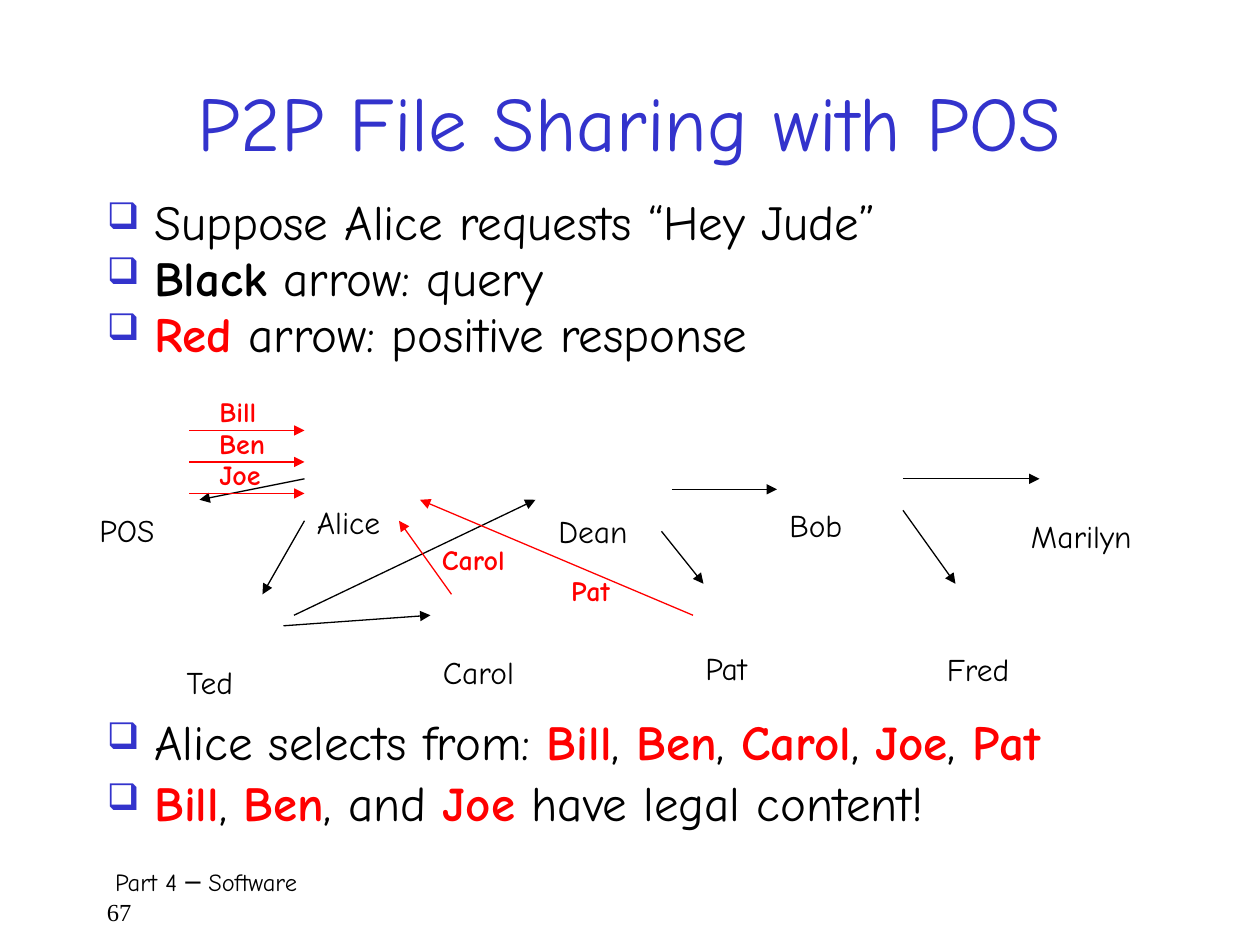
from lxml import etree
from pptx import Presentation
from pptx import util as u
from pptx.dml.color import RGBColor
from pptx.enum import shapes, text
from pptx.oxml import ns

SCALE = 7620
FONT = "Comic Neue"
BLACK, RED, BLUE = "000000", "FF0000", "3333CC"


def px(*nums):
    """Turn px lengths into EMU."""
    return [u.Emu(n * SCALE) for n in nums]


def hue(code):
    """Make a colour from a hex string."""
    return RGBColor.from_string(code)


def sub(node, tag, **attrs):
    """Add a drawing element to a node."""
    return etree.SubElement(node, ns.qn(tag), attrs)


def put(para, words, size, color=BLACK, bold=False, font=FONT):
    """Add one run of text to a paragraph."""
    run = para.add_run()
    run.text = words
    run.font.size = u.Pt(size)
    run.font.name = font
    run.font.bold = bold
    run.font.color.rgb = hue(color)


def box(slide, area, wrap=True):
    """Add an empty text box and return its frame."""
    frame = slide.shapes.add_textbox(*px(*area)).text_frame
    frame.word_wrap = wrap
    if not wrap:
        frame.auto_size = text.MSO_AUTO_SIZE.SHAPE_TO_FIT_TEXT
    return frame


def label(slide, area, words, size=18, color=BLACK, bold=False):
    """Add a short label that does not wrap."""
    para = box(slide, area, False).paragraphs[0]
    put(para, words, size, color, bold)
    return para


def mark(para):
    """Give a paragraph a hanging blue square bullet."""
    props = para._p.get_or_add_pPr()
    left = 45 * SCALE
    props.set("marL", str(left))
    props.set("indent", str(-left))
    sub(sub(props, "a:buClr"), "a:srgbClr", val=BLUE)
    sub(props, "a:buSzPct", val="75000")
    sub(props, "a:buChar", char="❑")


def bullets(slide, area, items, spacing):
    """Add a bullet list whose starred parts are bold."""
    frame = box(slide, area)
    for i, item in enumerate(items):
        para = frame.add_paragraph() if i else frame.paragraphs[0]
        mark(para)
        para.line_spacing = spacing
        if i:
            para.space_before = u.Pt(6.5)
        for j, part in enumerate(item.split("*")):
            if part:
                bold = j % 2 == 1
                color = RED if bold and part != "Black" else BLACK
                put(para, part, 28, color, bold)


def arrow(slide, ends, color):
    """Add a thin line with an arrowhead at its end."""
    line = slide.shapes.add_connector(shapes.MSO_CONNECTOR.STRAIGHT, *px(*ends))
    line.line.color.rgb = hue(color)
    line.line.width = u.Pt(0.75)
    sub(line.line._get_or_add_ln(), "a:tailEnd", type="triangle")
    sub(line._element.spPr, "a:effectLst")


def title(slide):
    """Add the slide title."""
    frame = box(slide, (90, 60, 1020, 110))
    frame.vertical_anchor = text.MSO_ANCHOR.MIDDLE
    para = frame.paragraphs[0]
    para.alignment = text.PP_ALIGN.CENTER
    put(para, "P2P File Sharing with POS", 44, BLUE)


def footer(slide):
    """Add the course part and the page number."""
    frame = box(slide, (90, 820, 1030, 60))
    put(frame.paragraphs[0], " Part 4 ─ Software", 14)
    put(frame.add_paragraph(), "67", 14, font="Times New Roman")


def peers(slide):
    """Name the peers in the network."""
    para = label(slide, (79, 488, 84, 46), "POS")
    para.alignment = text.PP_ALIGN.CENTER
    para.line_spacing = 0.8
    for name, x, y, w in (
        ("Ted", 166, 626, 78), ("Carol", 410, 616, 96), ("Pat", 660, 612, 70),
        ("Marilyn", 970, 486, 128), ("Bob", 740, 476, 77),
        ("Alice", 290, 473, 95), ("Dean", 520, 482, 94), ("Fred", 890, 613, 91),
    ):
        label(slide, (x, y, w, 54), name)


def queries(slide):
    """Draw the query arrows."""
    for ends in (
        (290, 456, 190, 476), (290, 496, 250, 566), (270, 596, 410, 586),
        (280, 586, 510, 476), (640, 466, 740, 466), (630, 506, 670, 556),
        (860, 456, 990, 456), (860, 486, 910, 556),
    ):
        arrow(slide, ends, BLACK)


def replies(slide):
    """Draw the positive responses and their names."""
    arrow(slide, (660, 586, 400, 476), RED)
    arrow(slide, (430, 566, 380, 496), RED)
    names = [("Carol", 409, 511, 90), ("Pat", 532, 540, 66)]
    for i, (name, w) in enumerate((("Bill", 64), ("Ben", 70), ("Joe", 71))):
        y = 410 + 30 * i
        arrow(slide, (180, y, 290, y), RED)
        names.append((name, 197, y - 40, w))
    for name, x, y, w in names:
        label(slide, (x, y, w, 49), name, 16, RED, True)


def main():
    """Build the slide and save it."""
    deck = Presentation()
    deck.slide_width, deck.slide_height = px(1200, 900)
    slide = deck.slides.add_slide(deck.slide_layouts[6])
    footer(slide)
    title(slide)
    bullets(slide, (90, 190, 1030, 180), (
        "Suppose Alice requests “Hey Jude”",
        "*Black* arrow: query",
        "*Red* arrow: positive response",
    ), 0.75)
    peers(slide)
    bullets(slide, (90, 680, 1050, 130), (
        "Alice selects from: *Bill*, *Ben*, *Carol*, *Joe*, *Pat*",
        "*Bill*, *Ben*, and *Joe* have legal content!",
    ), 0.85)
    queries(slide)
    replies(slide)
    deck.save("out.pptx")


if __name__ == "__main__":
    main()
